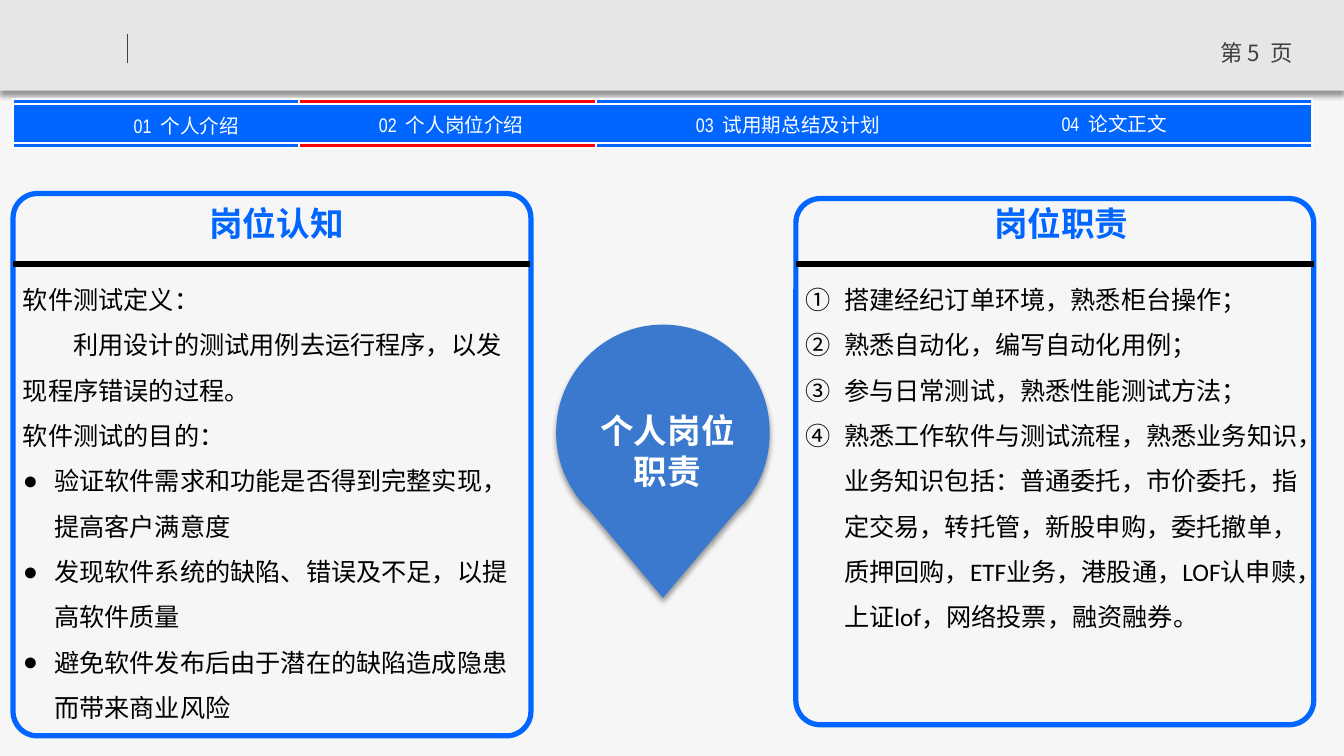
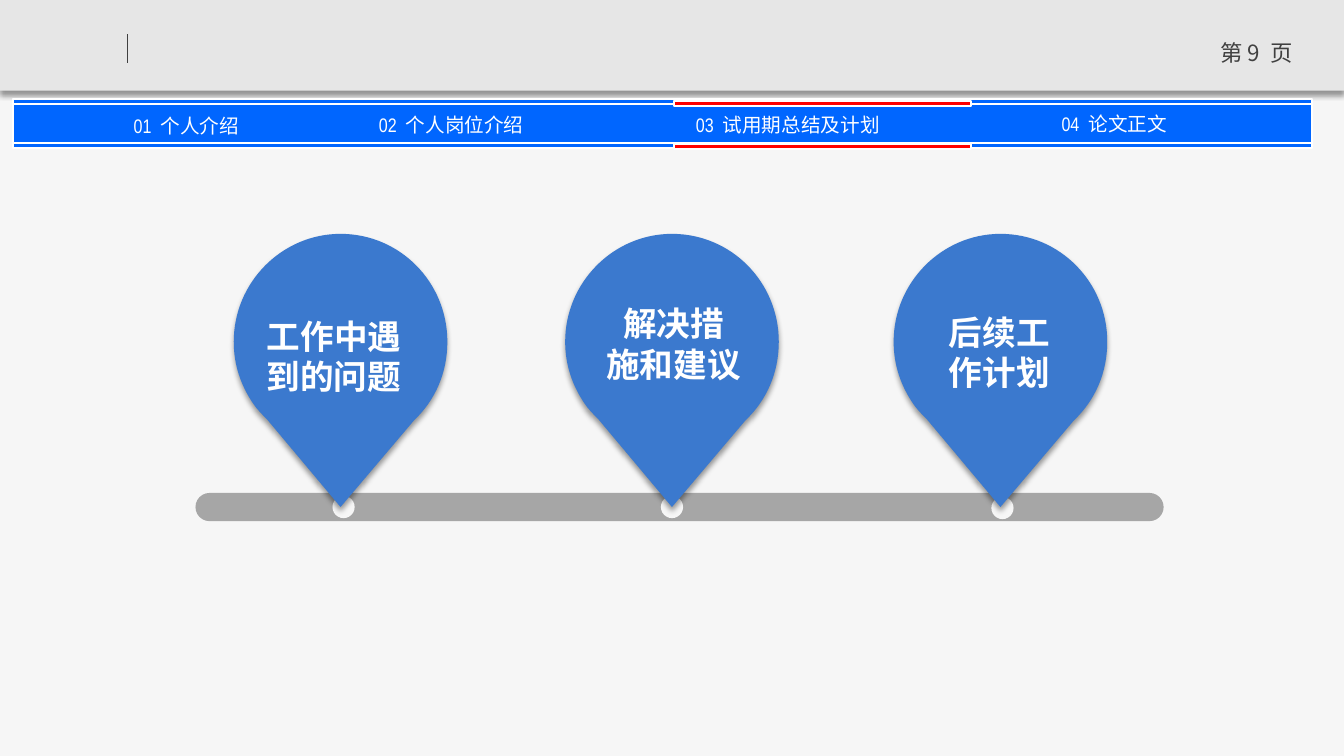
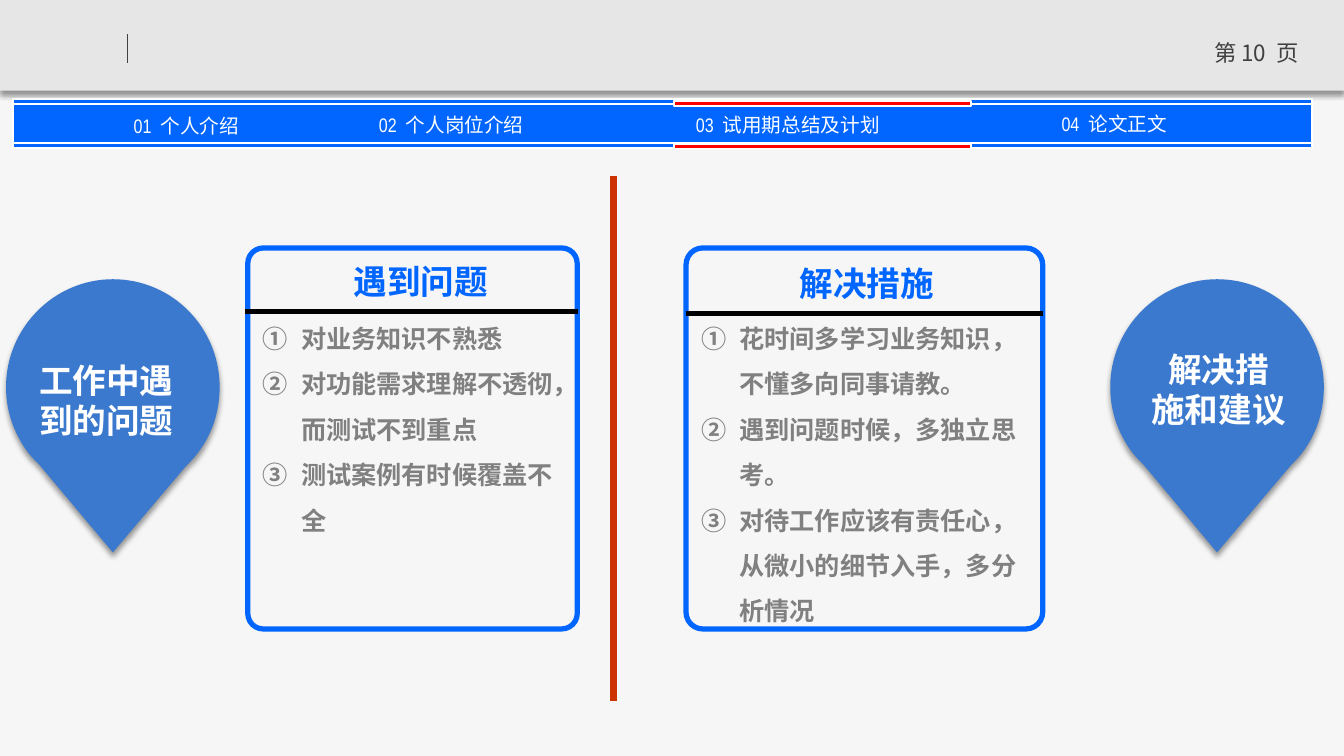
"""Build three job-review slides with a shared header and navigation bar."""
from dataclasses import dataclass
from typing import Any

import lxml.etree
import pptx
import pptx.dml.color
import pptx.enum.shapes
import pptx.enum.text
import pptx.oxml.ns
import pptx.util

Inches = pptx.util.Inches
Pt = pptx.util.Pt
RGBColor = pptx.dml.color.RGBColor
SHAPE = pptx.enum.shapes.MSO_SHAPE
ALIGN = pptx.enum.text.PP_ALIGN
ANCHOR = pptx.enum.text.MSO_ANCHOR
GROW = pptx.enum.text.MSO_AUTO_SIZE.SHAPE_TO_FIT_TEXT
qn = pptx.oxml.ns.qn

Box = tuple[float, float, float, float]
Point = tuple[float, float]
Format = dict[str, Any]

PAPER = RGBColor(0xF6, 0xF6, 0xF6)
HEADER = RGBColor(0xE6, 0xE6, 0xE6)
DARK = RGBColor(0x40, 0x40, 0x40)
BLUE = RGBColor(0x00, 0x66, 0xFF)
PIN_BLUE = RGBColor(0x3B, 0x79, 0xCE)
RED = RGBColor(0xFF, 0x00, 0x00)
RUST = RGBColor(0xCC, 0x33, 0x00)
TRACK = RGBColor(0xA6, 0xA6, 0xA6)
GREY = RGBColor(0x80, 0x80, 0x80)
WHITE = RGBColor(0xFF, 0xFF, 0xFF)
BLACK = RGBColor(0x00, 0x00, 0x00)

CJK = "Noto Sans CJK SC"
PAGE: Format = {"size": Pt(16), "name": CJK, "color": DARK}
NAV: Format = {"size": Pt(14), "name": "Arial Narrow", "color": WHITE}
TITLE: Format = {"size": Pt(24), "name": CJK, "bold": True, "color": BLUE}
PIN: Format = TITLE | {"color": WHITE}
BODY: Format = {"size": Pt(18), "name": "Calibri", "color": BLACK}
NOTE: Format = {"size": Pt(18), "name": CJK, "bold": True, "color": GREY}

BAND_X, BAND_W = 0.13, 12.89
RULE_H = 0.05
DOT = 0.22
PIN_START: Point = (1.06, 0)
PIN_SEGMENTS: tuple[tuple[Point, ...], ...] = (
    ((1.65, 0), (2.12, 0.48), (2.12, 1.07)),
    ((2.12, 1.38), (2.0, 1.65), (1.79, 1.85)),
    ((1.06, 2.71),),
    ((0.33, 1.84),),
    ((0.28, 1.79), (0.23, 1.74), (0.19, 1.68)),
    ((0.07, 1.5), (0, 1.3), (0, 1.07)),
    ((0, 0.48), (0.48, 0), PIN_START),
)
NAV_ITEMS = (
    (0.61, 1.13, "01  个人介绍"),
    (3.24, 1.12, "02  个人岗位介绍"),
    (9.82, 1.11, "04  论文正文"),
    (6.58, 1.12, "03  试用期总结及计划"),
)


@dataclass(frozen=True)
class Para:
    """A body paragraph with its list mark and indents in inches."""

    text: str
    mark: str = ""
    left: float = 0
    first: float = 0


@dataclass(frozen=True)
class Panel:
    """A rounded frame with a title, a rule and body text."""

    box: Box
    rule: tuple[float, float, float]
    title: str
    title_box: Box
    body_box: Box
    paras: tuple[Para, ...]
    fmt: Format
    title_align: Any = ALIGN.LEFT


@dataclass(frozen=True)
class Pin:
    """A map pin, the dot under its tip and its label."""

    x: float
    y: float
    dot: Point
    label_box: Box
    lines: tuple[str, ...]
    align: Any = ALIGN.CENTER


def bullet(text: str) -> Para:
    """Return a dotted paragraph."""
    return Para(text, "●", 0.31, -0.31)


def numbered(*texts: str) -> tuple[Para, ...]:
    """Return paragraphs with circled numbers."""
    return tuple(Para(t, "circleNumDbPlain", 0.38, -0.38) for t in texts)


def add_shadow(sp: Any) -> None:
    """Give a shape a soft shadow straight below it."""
    sp.shadow.inherit = False
    effects = sp._element.spPr.find(qn("a:effectLst"))
    shadow = lxml.etree.SubElement(
        effects, qn("a:outerShdw"), blurRad=str(Pt(4)), dist=str(Pt(3)),
        dir="5400000", algn="t", rotWithShape="0")
    color = lxml.etree.SubElement(shadow, qn("a:srgbClr"), val=str(BLACK))
    lxml.etree.SubElement(color, qn("a:alpha"), val="40000")


def paint(sp: Any, fill: RGBColor | None, line: RGBColor | None = None,
          width: float = 1.5) -> None:
    """Set the fill and outline of a shape and drop its shadow."""
    sp.shadow.inherit = False
    if fill is None:
        sp.fill.background()
    else:
        sp.fill.solid()
        sp.fill.fore_color.rgb = fill
    if line is None:
        sp.line.fill.background()
    else:
        sp.line.color.rgb = line
        sp.line.width = Pt(width)


def add_shape(s: Any, kind: Any, box: Box, fill: RGBColor | None,
              line: RGBColor | None = None, width: float = 1.5) -> Any:
    """Add a painted preset shape."""
    sp = s.shapes.add_shape(kind, *map(Inches, box))
    paint(sp, fill, line, width)
    return sp


def add_line(s: Any, x1: float, y1: float, x2: float, y2: float,
             color: RGBColor, width: float) -> None:
    """Add a straight line."""
    sp = s.shapes.add_connector(pptx.enum.shapes.MSO_CONNECTOR.STRAIGHT,
                                *map(Inches, (x1, y1, x2, y2)))
    sp.line.color.rgb = color
    sp.line.width = Pt(width)
    lxml.etree.SubElement(sp._element.spPr, qn("a:effectLst"))


def style_run(r: Any, fmt: Format) -> None:
    """Apply a format to a run."""
    for key, value in fmt.items():
        if key == "color":
            r.font.color.rgb = value
        else:
            setattr(r.font, key, value)
    lxml.etree.SubElement(r._r.get_or_add_rPr(), qn("a:ea"), typeface=CJK)


def set_list(p: Any, para: Para) -> None:
    """Apply indents and the list mark to a paragraph."""
    pPr = p._p.get_or_add_pPr()
    pPr.set("marL", str(Inches(para.left)))
    pPr.set("indent", str(Inches(para.first)))
    if para.mark == "●":
        lxml.etree.SubElement(pPr, qn("a:buFont"), typeface="Arial")
        lxml.etree.SubElement(pPr, qn("a:buChar"), char=para.mark)
    elif para.mark:
        lxml.etree.SubElement(pPr, qn("a:buAutoNum"), type=para.mark)


def add_text(s: Any, box: Box, paras: tuple[Para, ...], fmt: Format,
             align: Any = ALIGN.LEFT, spacing: float = 1.0, **frame: Any) -> None:
    """Add a text box with one run in each paragraph."""
    tf = s.shapes.add_textbox(*map(Inches, box)).text_frame
    for key, value in ({"word_wrap": True} | frame).items():
        setattr(tf, key, value)
    for i, para in enumerate(paras):
        p = tf.paragraphs[0] if i == 0 else tf.add_paragraph()
        p.alignment = align
        p.line_spacing = spacing
        set_list(p, para)
        r = p.add_run()
        r.text = para.text
        style_run(r, fmt)


def add_rules(s: Any, x: float, w: float, tops: Point, color: RGBColor) -> None:
    """Add the thin bars above and below the navigation band."""
    for y in tops:
        add_shape(s, SHAPE.RECTANGLE, (x, y, w, RULE_H), color, WHITE)


def add_base(prs: Any, page: int, mark_x: float, mark_tops: Point) -> Any:
    """Add a slide with header, page number and marked navigation."""
    s = prs.slides.add_slide(prs.slide_layouts[6])
    add_shadow(add_shape(s, SHAPE.RECTANGLE, (0, 0, 13.34, 0.9), HEADER))
    add_line(s, 1.27, 0.34, 1.27, 0.63, DARK, 0.75)
    add_text(s, (11.87, 0.34, 1.2, 0.4), (Para(f"第 {page}  页"),), PAGE,
             ALIGN.CENTER)
    add_shape(s, SHAPE.RECTANGLE, (BAND_X, 1.03, BAND_W, 0.43), BLUE, WHITE)
    add_rules(s, BAND_X, BAND_W, (1.42, 0.98), BLUE)
    margins = {f"margin_{side}": 0 for side in ("left", "top", "right", "bottom")}
    for x, y, text in NAV_ITEMS:
        add_text(s, (x, y, 2.48, 0.24), (Para(text),), NAV, ALIGN.CENTER,
                 vertical_anchor=ANCHOR.MIDDLE, auto_size=GROW, **margins)
    add_rules(s, mark_x, 2.95, mark_tops, RED)
    return s


def add_panel(s: Any, panel: Panel) -> None:
    """Add a framed panel."""
    x1, y, x2 = panel.rule
    add_text(s, panel.body_box, panel.paras, panel.fmt, spacing=1.5)
    sp = add_shape(s, SHAPE.ROUNDED_RECTANGLE, panel.box, None, BLUE, 3.75)
    sp.adjustments[0] = 0.047
    add_text(s, panel.title_box, (Para(panel.title),), TITLE, panel.title_align,
             auto_size=GROW)
    add_line(s, x1, y, x2, y, BLACK, 3.75)


def add_pin_outline(s: Any, x: float, y: float) -> Any:
    """Add the pin outline, turning each three-point segment into a curve."""
    def place(point: Point) -> tuple[int, int]:
        return Inches(x + point[0]), Inches(y + point[1])

    fb = s.shapes.build_freeform(*place(PIN_START))
    for seg in PIN_SEGMENTS:
        fb.add_line_segments([place(pt) for pt in seg], close=False)
    sp = fb.convert_to_shape()
    outline = sp._element.spPr.find(f".//{qn('a:path')}")
    steps = iter(outline.findall(qn("a:lnTo")))
    for seg in PIN_SEGMENTS:
        lines = [next(steps) for _ in seg]
        if len(seg) == 3:
            curve = lxml.etree.Element(qn("a:cubicBezTo"))
            lines[0].addprevious(curve)
            for line in lines:
                curve.append(line[0])
                outline.remove(line)
    lxml.etree.SubElement(outline, qn("a:close"))
    return sp


def add_pin(s: Any, pin: Pin) -> None:
    """Add a dot, the pin above it and its label."""
    add_shape(s, SHAPE.OVAL, (*pin.dot, DOT, DOT), PAPER)
    sp = add_pin_outline(s, pin.x, pin.y)
    paint(sp, PIN_BLUE)
    add_shadow(sp)
    add_text(s, pin.label_box, tuple(map(Para, pin.lines)), PIN, pin.align,
             word_wrap=len(pin.lines) == 1, auto_size=GROW)


def build_duties(prs: Any) -> None:
    """Build the slide on the post and its duties."""
    s = add_base(prs, 5, 2.97, (1.42, 0.98))
    add_panel(s, Panel(
        (0.13, 1.92, 5.14, 5.38), (0.13, 2.62, 5.26),
        "岗位认知", (1.98, 1.96, 1.95, 0.5), (0.13, 2.62, 5.14, 4.67),
        (Para("软件测试定义："),
         Para("利用设计的测试用例去运行程序，以发现程序错误的过程。", first=0.5),
         Para("软件测试的目的："),
         bullet("验证软件需求和功能是否得到完整实现，提高客户满意度"),
         bullet("发现软件系统的缺陷、错误及不足，以提高软件质量"),
         bullet("避免软件发布后由于潜在的缺陷造成隐患而带来商业风险")),
        BODY))
    add_panel(s, Panel(
        (7.9, 1.97, 5.14, 5.22), (7.9, 2.62, 13.04),
        "岗位职责", (9.77, 1.96, 1.95, 0.5), (7.9, 2.62, 5.14, 4.56),
        numbered(
            "搭建经纪订单环境，熟悉柜台操作；",
            "熟悉自动化，编写自动化用例；",
            "参与日常测试，熟悉性能测试方法；",
            "熟悉工作软件与测试流程，熟悉业务知识，业务知识包括：普通委托，"
            "市价委托，指定交易，转托管，新股申购，委托撤单，质押回购，"
            "ETF业务，港股通，LOF认申赎，上证lof，网络投票，融资融券。"),
        BODY))
    add_pin(s, Pin(5.52, 3.22, (6.48, 5.83), (5.85, 4.02, 1.55, 0.91),
                   ("个人岗位", "职责")))


def build_outline(prs: Any) -> None:
    """Build the slide with three pins on a track."""
    s = add_base(prs, 9, 6.69, (1.43, 1.0))
    track = add_shape(s, SHAPE.ROUNDED_RECTANGLE, (1.94, 4.89, 9.61, 0.28), TRACK)
    track.adjustments[0] = 0.5
    for pin in (
        Pin(2.32, 2.32, (3.3, 4.92), (2.42, 3.08, 1.79, 0.91),
            ("工作中遇到的问题",)),
        Pin(5.61, 2.32, (6.56, 4.92), (5.91, 2.96, 1.55, 0.91),
            ("解决措", "施和建议")),
        Pin(8.87, 2.32, (9.84, 4.93), (9.32, 3.04, 1.21, 0.91),
            ("后续工", "作计划"), ALIGN.LEFT),
    ):
        add_pin(s, pin)


def build_problems(prs: Any) -> None:
    """Build the slide that sets problems against measures."""
    s = add_base(prs, 10, 6.69, (1.43, 1.0))
    add_pin(s, Pin(0.06, 2.77, (1.04, 5.37), (0.16, 3.52, 1.79, 0.91),
                   ("工作中遇到的问题",)))
    add_pin(s, Pin(11.02, 2.77, (11.97, 5.37), (11.32, 3.41, 1.55, 0.91),
                   ("解决措", "施和建议")))
    add_line(s, 6.09, 1.75, 6.09, 6.95, RUST, 4.5)
    add_panel(s, Panel(
        (2.46, 2.46, 3.27, 3.78), (2.43, 3.09, 5.74),
        "遇到问题", (3.41, 2.54, 1.95, 0.5), (2.51, 3.01, 3.22, 3.07),
        numbered("对业务知识不熟悉",
                 "对功能需求理解不透彻，而测试不到重点",
                 "测试案例有时候覆盖不全"),
        NOTE))
    add_panel(s, Panel(
        (6.81, 2.46, 3.54, 3.78), (6.81, 3.11, 10.35),
        "解决措施", (6.86, 2.56, 3.49, 0.5), (6.86, 3.01, 3.41, 3.07),
        numbered("花时间多学习业务知识，不懂多向同事请教。",
                 "遇到问题时候，多独立思考。",
                 "对待工作应该有责任心，从微小的细节入手，多分析情况"),
        NOTE, ALIGN.CENTER))


def main() -> None:
    """Build and save the presentation."""
    prs = pptx.Presentation()
    prs.slide_width, prs.slide_height = Inches(13.34), Inches(7.5)
    fill = prs.slide_master.background.fill
    fill.solid()
    fill.fore_color.rgb = PAPER
    for build in (build_duties, build_outline, build_problems):
        build(prs)
    prs.save("out.pptx")


if __name__ == "__main__":
    main()
